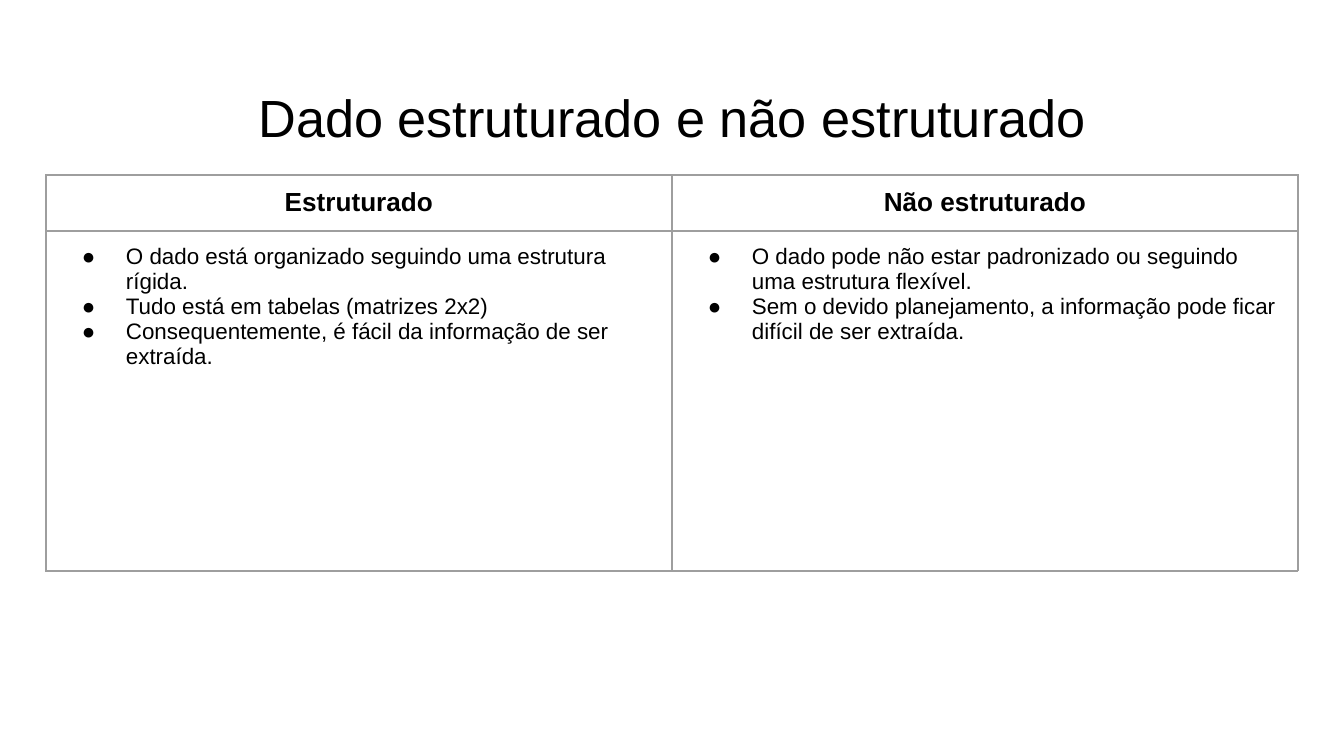
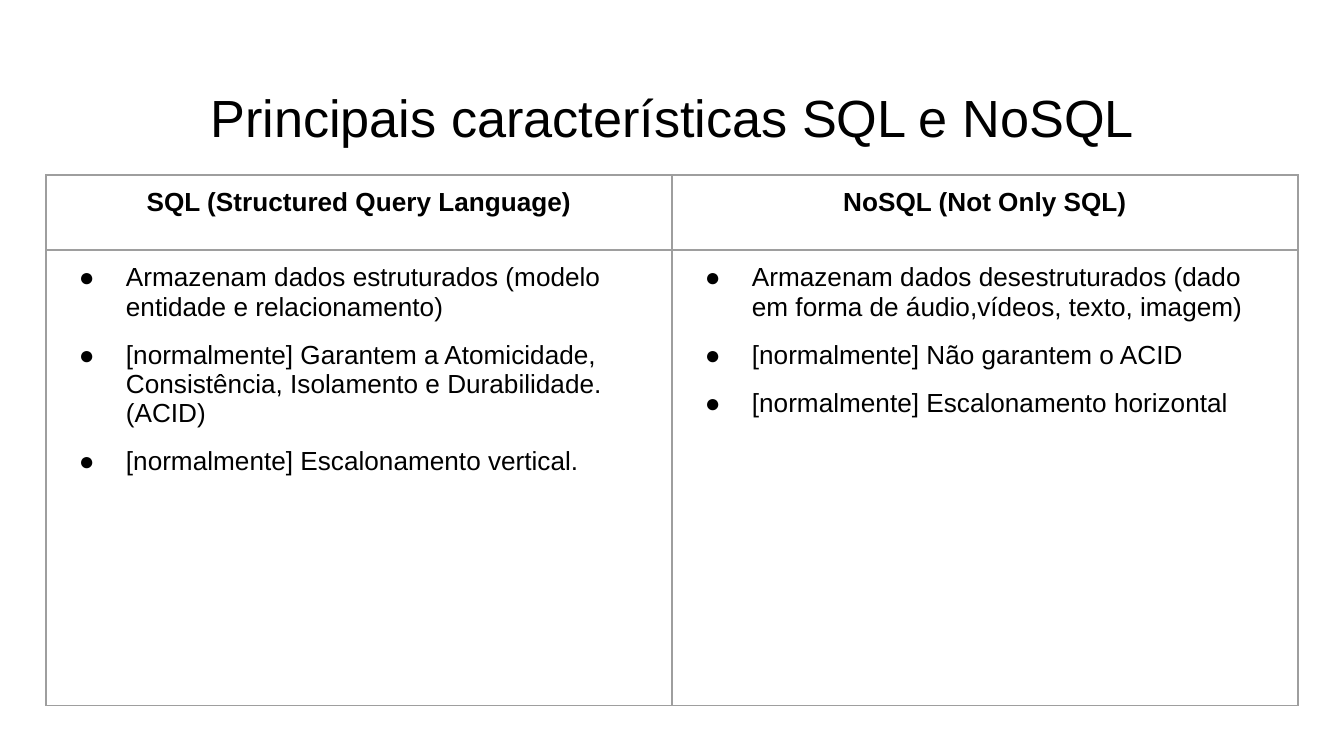
from dataclasses import dataclass

from lxml import etree
from pptx import Presentation
from pptx.dml.color import RGBColor
from pptx.enum.text import MSO_ANCHOR, MSO_AUTO_SIZE, PP_ALIGN
from pptx.oxml.ns import qn
from pptx.util import Pt

CENTER, LEFT = PP_ALIGN.CENTER, PP_ALIGN.LEFT
TOP, FIXED = MSO_ANCHOR.TOP, MSO_AUTO_SIZE.NONE
SCALE = 914400 / 134.4


@dataclass(frozen=True)
class Theme:
    """Colours, font and type sizes shared by the slides."""
    ink: str = "000000"
    rule: str = "9E9E9E"
    paper: str = "FFFFFF"
    font: str = "Arial"
    title: int = 28
    head: int = 14
    line: float = 0.75
    pad: int = 13
    hang: int = 67


THEME = Theme()


def px(count):
    """Turn pixels into EMU."""
    return round(count * SCALE)


def add(parent, tag, **attrs):
    """Append an XML child with the given attributes."""
    return etree.SubElement(parent, qn(tag), attrs)


def write(para, text, size=THEME.head, bold=False, align=LEFT, before=0, after=0):
    """Put formatted text in a paragraph."""
    para.alignment = align
    para.line_spacing = 1.0
    para.space_before, para.space_after = Pt(before), Pt(after)
    run = para.add_run()
    run.text = text
    font = run.font
    font.name, font.size, font.bold = THEME.font, Pt(size), bold
    font.color.rgb = RGBColor.from_string(THEME.ink)


def bullet(para, indent):
    """Give a paragraph a round bullet and a hanging indent."""
    props = para._p.get_or_add_pPr()
    props.set("marL", str(px(THEME.hang)))
    props.set("indent", str(-px(indent)))
    add(add(props, "a:buClr"), "a:srgbClr", val=THEME.ink)
    add(props, "a:buFont", typeface=THEME.font)
    add(props, "a:buChar", char="●")


def frame(cell):
    """Set the margins, borders and fill of a cell."""
    cell.margin_left = cell.margin_right = px(THEME.pad)
    cell.margin_top = cell.margin_bottom = px(THEME.pad)
    cell.vertical_anchor = TOP
    props = cell._tc.get_or_add_tcPr()
    for side in "LRTB":
        line = add(props, f"a:ln{side}", w=str(Pt(THEME.line)))
        add(add(line, "a:solidFill"), "a:srgbClr", val=THEME.rule)
    cell.fill.background()


def items(cell, texts, size, indent, gap):
    """Fill a cell with a bulleted list."""
    body = cell.text_frame
    for i, text in enumerate(texts):
        para = body.paragraphs[0] if i == 0 else body.add_paragraph()
        last = i == len(texts) - 1
        write(para, text, size=size, before=gap if i else 0, after=gap if last else 0)
        bullet(para, indent)


def title(slide, box, text):
    """Place the slide title."""
    shape = slide.shapes.title
    shape.left, shape.top, shape.width, shape.height = map(px, box)
    body = shape.text_frame
    body.auto_size, body.word_wrap = FIXED, True
    body.vertical_anchor = TOP
    body.margin_left = body.margin_right = px(THEME.pad)
    body.margin_top, body.margin_bottom = px(19), 0
    write(body.paragraphs[0], text, size=THEME.title, align=CENTER)


def grid(slide, box, heads, lists, top, size, indent, gap):
    """Place a table with one headed list in each column."""
    x, y, w, h = box
    table = slide.shapes.add_table(2, len(heads), px(x), px(y), px(w), px(h)).table
    table.first_row = table.horz_banding = False
    table.rows[0].height, table.rows[1].height = px(top), px(h - top)
    for col, (head, texts) in enumerate(zip(heads, lists)):
        table.columns[col].width = px(w / len(heads))
        name, body = table.cell(0, col), table.cell(1, col)
        frame(name)
        frame(body)
        write(name.text_frame.paragraphs[0], head, bold=True, align=CENTER)
        items(body, texts, size, indent, gap)


def compare(deck, text, heads, lists, height, top, size, indent, gap=0):
    """Add a slide that compares two subjects."""
    slide = deck.slides.add_slide(deck.slide_layouts[5])
    fill = slide.background.fill
    fill.solid()
    fill.fore_color.rgb = RGBColor.from_string(THEME.paper)
    title(slide, (46, 66, 1252, 85), text)
    grid(slide, (46, 175, 1252, height), heads, lists, top, size, indent, gap)


def main():
    """Build and save the deck."""
    deck = Presentation()
    deck.slide_width, deck.slide_height = px(1344), px(756)
    compare(
        deck, "Dado estruturado e não estruturado",
        ["Estruturado", "Não estruturado"],
        [["O dado está organizado seguindo uma estrutura rígida.",
          "Tudo está em tabelas (matrizes 2x2)",
          "Consequentemente, é fácil da informação de ser extraída."],
         ["O dado pode não estar padronizado ou seguindo uma estrutura flexível.",
          "Sem o devido planejamento, a informação pode ficar difícil de ser extraída."]],
        height=396, top=56, size=12, indent=44)
    compare(
        deck, "Principais características SQL e NoSQL",
        ["SQL (Structured Query Language)", "NoSQL (Not Only SQL)"],
        [["Armazenam dados estruturados (modelo entidade e relacionamento)",
          "[normalmente] Garantem a Atomicidade, Consistência, Isolamento e Durabilidade. (ACID)",
          "[normalmente] Escalonamento vertical."],
         ["Armazenam dados desestruturados (dado em forma de áudio,vídeos, texto, imagem)",
          "[normalmente] Não garantem o ACID",
          "[normalmente] Escalonamento horizontal"]],
        height=531, top=75, size=14, indent=47, gap=10)
    deck.save("out.pptx")


main()
